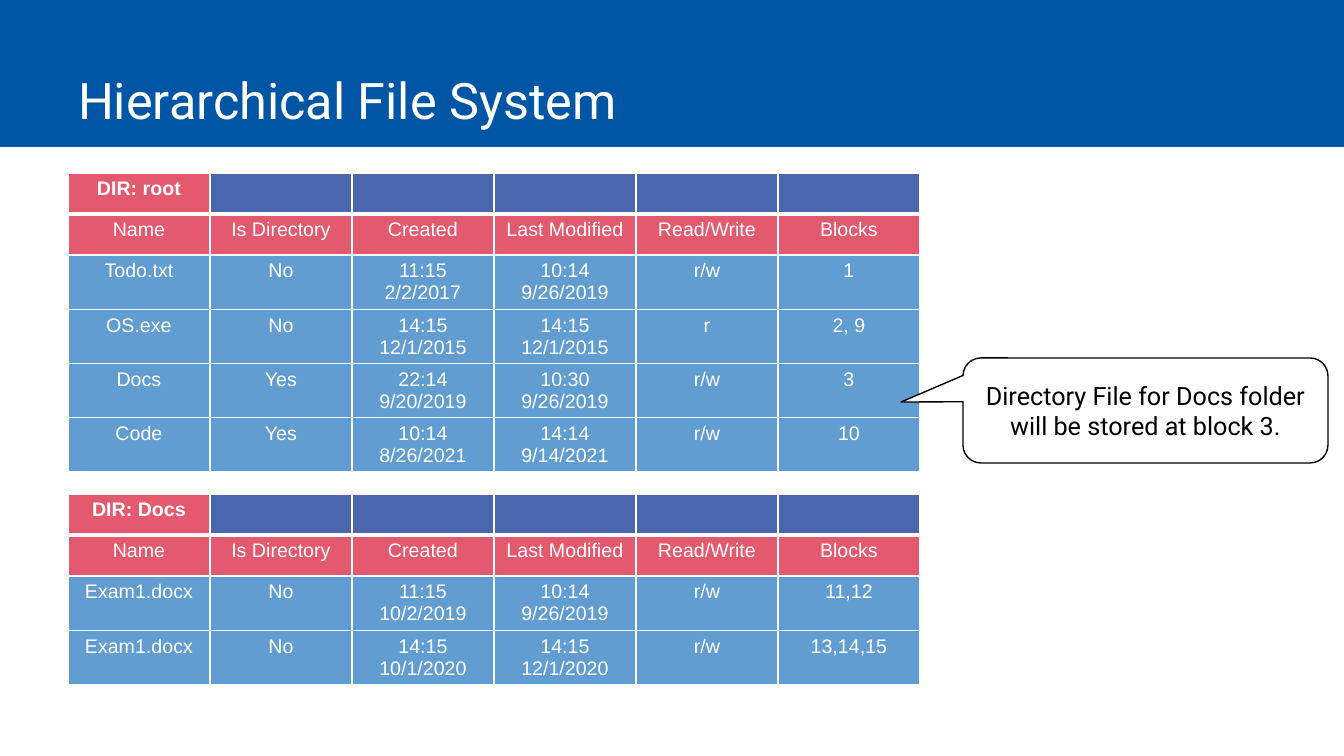
"""Build the hierarchical file system slide."""
from lxml import etree
from pptx import Presentation
from pptx import util as u
from pptx.dml.color import RGBColor
from pptx.enum import shapes, text
from pptx.oxml.ns import qn

TITLE = "Hierarchical File System"
CALLOUT = "Directory File for Docs folder will be stored at block 3."
HEADINGS = ("Name", "Is Directory", "Created", "Last Modified", "Read/Write", "Blocks")
DIRECTORIES = [
    ("DIR: root", 173, [
        ("Todo.txt", "No", "11:15 2/2/2017", "10:14 9/26/2019", "r/w", "1"),
        ("OS.exe", "No", "14:15 12/1/2015", "14:15 12/1/2015", "r", "2, 9"),
        ("Docs", "Yes", "22:14 9/20/2019", "10:30 9/26/2019", "r/w", "3"),
        ("Code", "Yes", "10:14 8/26/2021", "14:14 9/14/2021", "r/w", "10"),
    ]),
    ("DIR: Docs", 494, [
        ("Exam1.docx", "No", "11:15 10/2/2019", "10:14 9/26/2019", "r/w", "11,12"),
        ("Exam1.docx", "No", "14:15 10/1/2020", "14:15 12/1/2020", "r/w", "13,14,15"),
    ]),
]

WHITE = RGBColor(0xFF, 0xFF, 0xFF)
BLACK = RGBColor(0x00, 0x00, 0x00)
BAND_BLUE = RGBColor(0x00, 0x55, 0xA4)
PINK = RGBColor(0xE3, 0x59, 0x6D)
INDIGO = RGBColor(0x4A, 0x66, 0xAC)
SKY = RGBColor(0x62, 0x9D, 0xD1)

WIDTH, HEIGHT = 1344, 756
TABLE_LEFT, COLUMN_WIDTH = 68, 142
HEADER_HEIGHT, FILE_HEIGHT = 41, 54


def px(length):
    return u.Emu(round(length * 12192000 / WIDTH))


def write(frame, words, font, size, color, align, bold=False):
    frame.text = words
    para = frame.paragraphs[0]
    para.alignment = align
    for span in para.runs:
        span.font.name = font
        span.font.size = u.Pt(size)
        span.font.color.rgb = color
        span.font.bold = bold


def add_borders(cell, bottom_points, top_points):
    properties = cell._tc.get_or_add_tcPr()
    for side, points in (("L", 1), ("R", 1), ("T", top_points), ("B", bottom_points)):
        line = etree.SubElement(properties, qn(f"a:ln{side}"), w=str(u.Pt(points)))
        fill = etree.SubElement(line, qn("a:solidFill"))
        etree.SubElement(fill, qn("a:srgbClr"), val=str(WHITE))


def cell_color(row, column):
    if row > 1:
        return SKY
    return INDIGO if row == 0 and column > 0 else PINK


def add_directory(page, name, top, files):
    rows = [(name,) + ("",) * (len(HEADINGS) - 1), HEADINGS, *files]
    heights = [HEADER_HEIGHT] * 2 + [FILE_HEIGHT] * len(files)
    table = page.shapes.add_table(
        len(rows), len(HEADINGS), px(TABLE_LEFT), px(top),
        px(COLUMN_WIDTH * len(HEADINGS)), px(sum(heights))).table
    for column in table.columns:
        column.width = px(COLUMN_WIDTH)
    for row, values in enumerate(rows):
        table.rows[row].height = px(heights[row])
        for column, value in enumerate(values):
            cell = table.cell(row, column)
            add_borders(cell, 3 if row == 0 else 1, 3 if row == 1 else 1)
            cell.fill.solid()
            cell.fill.fore_color.rgb = cell_color(row, column)
            write(cell.text_frame, value, "Arial", 14, WHITE,
                  text.PP_ALIGN.CENTER, bold=row == 0)


def add_title(page):
    band = page.shapes.add_shape(
        shapes.MSO_SHAPE.RECTANGLE, 0, 0, px(WIDTH), px(147))
    band.shadow.inherit = False
    band.fill.solid()
    band.fill.fore_color.rgb = BAND_BLUE
    band.line.fill.background()
    title = page.shapes.title
    title.element.addprevious(band.element)
    title.left, title.top, title.width, title.height = map(px, (68, 0, 1184, 135))
    frame = title.text_frame
    frame.vertical_anchor = text.MSO_ANCHOR.BOTTOM
    frame.auto_size = text.MSO_AUTO_SIZE.NONE
    write(frame, TITLE, "Roboto", 36, WHITE, text.PP_ALIGN.LEFT)


def add_callout(page):
    box = page.shapes.add_shape(
        shapes.MSO_SHAPE.ROUNDED_RECTANGULAR_CALLOUT,
        *map(px, (963, 358, 365, 105)))
    box.shadow.inherit = False
    for index, value in enumerate((-0.67, -0.08, 0.17)):
        box.adjustments[index] = value
    box.fill.solid()
    box.fill.fore_color.rgb = WHITE
    box.line.color.rgb = BLACK
    box.line.width = u.Pt(1)
    box.text_frame.word_wrap = True
    box.text_frame.vertical_anchor = text.MSO_ANCHOR.MIDDLE
    write(box.text_frame, CALLOUT, "Roboto", 18, BLACK, text.PP_ALIGN.CENTER)


def main():
    deck = Presentation()
    deck.slide_width, deck.slide_height = px(WIDTH), px(HEIGHT)
    page = deck.slides.add_slide(deck.slide_layouts[5])
    add_title(page)
    for name, top, files in DIRECTORIES:
        add_directory(page, name, top, files)
    add_callout(page)
    deck.save("out.pptx")


if __name__ == "__main__":
    main()
